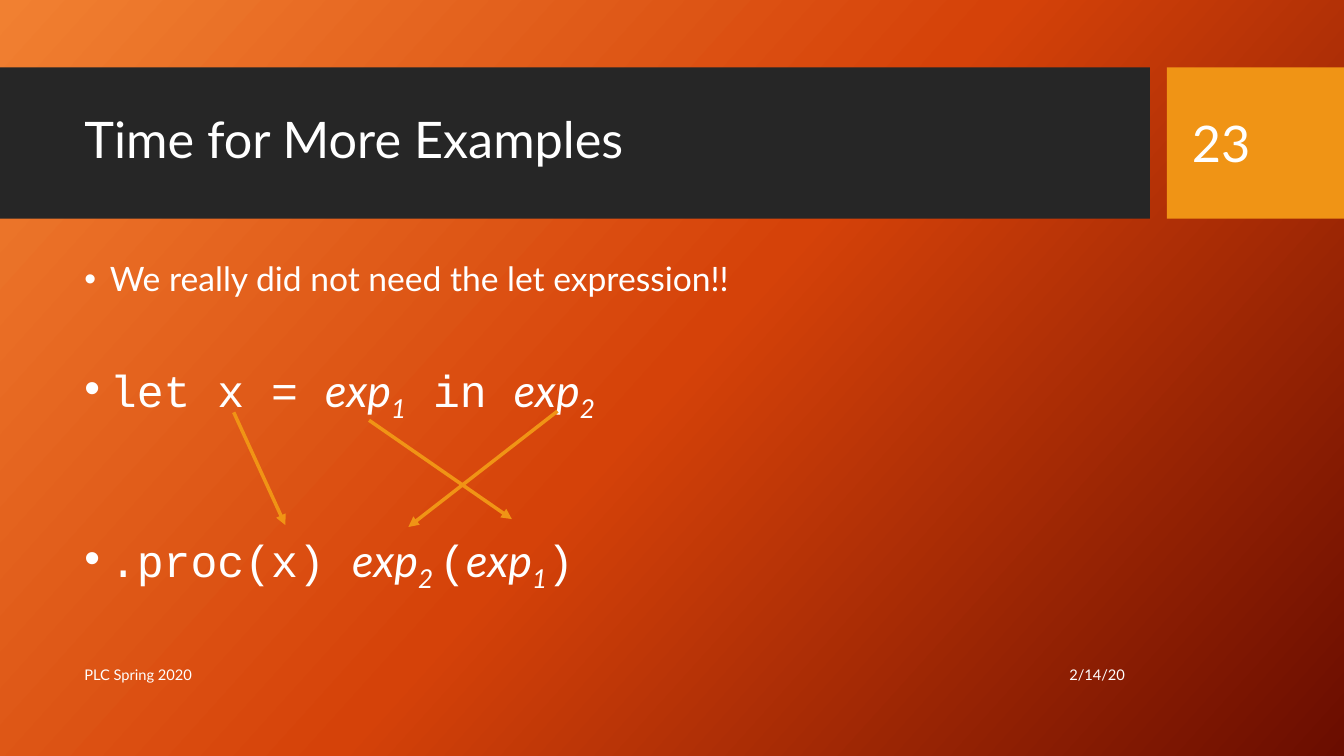
from dataclasses import dataclass
from typing import NamedTuple

from pptx import Presentation
from pptx.dml.color import RGBColor
from pptx.enum.shapes import MSO_CONNECTOR as Conn, MSO_SHAPE as Geo
from pptx.enum.text import MSO_ANCHOR as Anchor, PP_ALIGN as Align
from pptx.oxml import parse_xml
from pptx.oxml.ns import nsdecls, qn
from pptx.util import Cm, Pt


@dataclass(frozen=True)
class Theme:
    sans: str = "Lato"
    mono: str = "Courier New"
    white: str = "FFFFFF"
    dark: str = "262626"
    gold: str = "F09415"
    grad: tuple = ((0, "F18031"), (50, "D54209"), (100, "6A0D00"))
    angle: int = 42
    head: float = 36
    code: float = 32
    text: float = 24
    foot: float = 10.5
    line: float = 2.5


class Box(NamedTuple):
    left: float
    top: float
    width: float
    height: float


class Bar(NamedTuple):
    box: Box
    color: str


class Label(NamedTuple):
    text: str
    box: Box
    size: float
    fmt: dict


class Piece(NamedTuple):
    text: str
    kind: str


class Item(NamedTuple):
    pieces: list
    size: float
    before: float


class Arrow(NamedTuple):
    x1: float
    y1: float
    x2: float
    y2: float


T = Theme()

# Font values for each kind of text piece
KINDS = {
    "plain": {"name": T.sans, "italic": False},
    "code": {"name": T.mono, "italic": False},
    "var": {"name": T.sans, "italic": True},
    "sub": {"name": T.sans, "italic": True},
}


def apply(obj, vals: dict) -> None:
    for key, val in vals.items():
        setattr(obj, key, val)


def place(box: Box) -> list:
    return [Cm(v) for v in box]


def add_back(slide) -> None:
    stops = "".join(
        f'<a:gs pos="{pos * 1000}"><a:srgbClr val="{rgb}"/></a:gs>'
        for pos, rgb in T.grad)
    back = parse_xml(
        f'<p:bg {nsdecls("p", "a")}><p:bgPr><a:gradFill rotWithShape="1">'
        f'<a:gsLst>{stops}</a:gsLst><a:lin ang="{T.angle * 60000}" scaled="0"/>'
        '</a:gradFill><a:effectLst/></p:bgPr></p:bg>')
    slide.element.find(qn("p:cSld")).insert(0, back)


def add_bar(slide, bar: Bar) -> None:
    shape = slide.shapes.add_shape(Geo.RECTANGLE, *place(bar.box))
    shape.shadow.inherit = False
    shape.fill.solid()
    shape.fill.fore_color.rgb = RGBColor.from_string(bar.color)
    shape.line.fill.background()


def add_frame(slide, box: Box, anchor):
    frame = slide.shapes.add_textbox(*place(box)).text_frame
    apply(frame, {"word_wrap": True, "vertical_anchor": anchor})
    return frame


def add_run(para, piece: Piece, size: float) -> None:
    run = para.add_run()
    run.text = piece.text
    apply(run.font, {"size": Pt(size), **KINDS[piece.kind]})
    run.font.color.rgb = RGBColor.from_string(T.white)
    if piece.kind == "sub":
        run.font._element.set("baseline", "-25000")


def add_label(slide, label: Label) -> None:
    para = add_frame(slide, label.box, Anchor.MIDDLE).paragraphs[0]
    apply(para, label.fmt)
    add_run(para, Piece(label.text, "plain"), label.size)


def add_list(slide, box: Box, items: list) -> None:
    frame = add_frame(slide, box, Anchor.TOP)
    for i, item in enumerate(items):
        para = frame.add_paragraph() if i else frame.paragraphs[0]
        apply(para, {"line_spacing": 0.9, "space_before": Pt(item.before)})
        props = para._p.get_or_add_pPr()
        props.set("marL", str(Cm(0.64)))
        props.set("indent", str(-Cm(0.64)))
        for tag in ('buFont typeface="Arial"', 'buChar char="•"'):
            name, attr = tag.split(" ")
            props.append(parse_xml(f'<a:{name} {nsdecls("a")} {attr}/>'))
        for piece in item.pieces:
            add_run(para, piece, item.size)


def add_arrow(slide, arrow: Arrow) -> None:
    conn = slide.shapes.add_connector(Conn.STRAIGHT, *[Cm(v) for v in arrow])
    conn.line.width = Pt(T.line)
    conn.line.color.rgb = RGBColor.from_string(T.gold)
    ns = nsdecls("a")
    conn.line._get_or_add_ln().append(
        parse_xml(f'<a:tailEnd {ns} type="triangle"/>'))
    conn._element.spPr.append(parse_xml(f"<a:effectLst {ns}/>"))


def exp(num: str) -> list:
    return [Piece("exp", "var"), Piece(num, "sub")]


# Content
BARS = [
    Bar(Box(0, 1.7, 28.98, 3.81), T.dark),
    Bar(Box(29.41, 1.7, 4.46, 3.81), T.gold),
]
LABELS = [
    Label("Time for More Examples", Box(1.88, 2.08, 26.7, 3), T.head,
          {"line_spacing": 0.9}),
    Label("23", Box(29.79, 2.08, 3.2, 3.02), T.head, {}),
    Label("2/14/20", Box(20.98, 16.48, 7.62, 1.02), T.foot,
          {"alignment": Align.RIGHT}),
    Label("PLC Spring 2020", Box(1.88, 16.48, 19.08, 1.02), T.foot, {}),
]
GAP, ROW = 10, 36
ITEMS = [
    Item([Piece("We really did not need the let expression!!", "plain")],
         T.text, GAP),
    Item([Piece("let x = ", "code"), *exp("1"), Piece(" in ", "code"),
          *exp("2")], T.code, GAP + ROW),
    Item([Piece(".proc(x) ", "code"), *exp("2 "), Piece("(", "code"),
          *exp("1"), Piece(")", "code")], T.code, GAP + 2 * ROW),
]
ARROWS = [
    Arrow(9.3, 10.59, 12.9, 13.08),
    Arrow(5.89, 10.39, 7.19, 13.23),
    Arrow(14.05, 10.36, 10.29, 13.28),
]

# Build the slide
deck = Presentation()
apply(deck, {"slide_width": Cm(33.87), "slide_height": Cm(19.05)})
page = deck.slides.add_slide(deck.slide_layouts[6])
add_back(page)
for bar in BARS:
    add_bar(page, bar)
for label in LABELS:
    add_label(page, label)
add_list(page, Box(1.88, 6.5, 26.7, 10), ITEMS)
for arrow in ARROWS:
    add_arrow(page, arrow)
deck.save("out.pptx")
